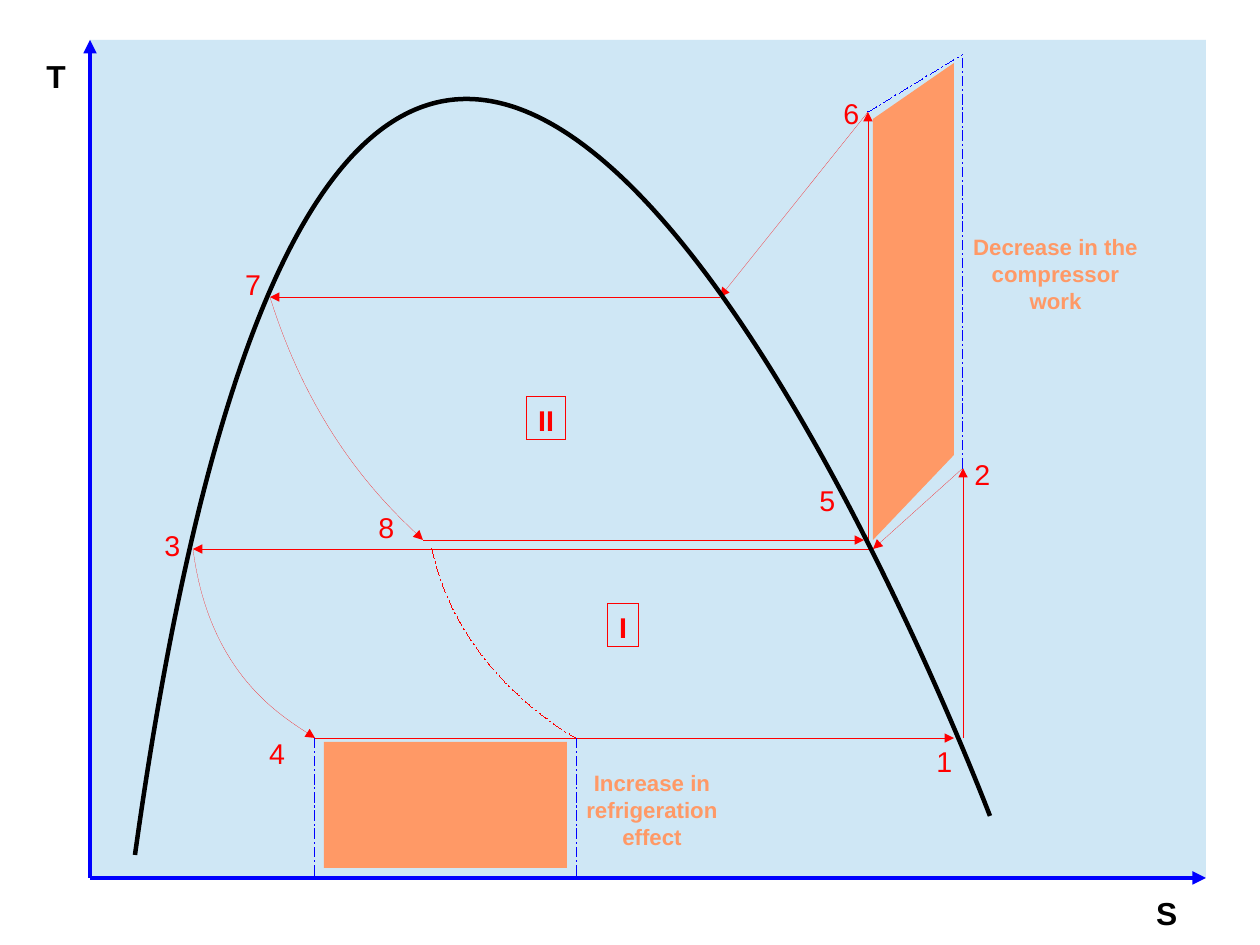
from pptx import Presentation
from pptx.dml.color import RGBColor
from pptx.enum.dml import MSO_LINE
from pptx.enum.shapes import MSO_CONNECTOR, MSO_SHAPE
from pptx.enum.text import MSO_AUTO_SIZE, MSO_ANCHOR, PP_ALIGN
from pptx.oxml.ns import qn
from pptx.util import Emu, Pt
from lxml.etree import SubElement

PX = 8000  # EMU in one px
RED, BLUE, BLACK, ORANGE, SKY = "FF0000", "0000FF", "000000", "FF9966", "CFE7F5"
HAIRLINE, THICK = Emu(1), Pt(2.83)


def style_line(item, color, width=HAIRLINE, arrow=False, dashed=False):
    item.line.color.rgb = RGBColor.from_string(color)
    item.line.width = width
    if dashed:
        item.line.dash_style = MSO_LINE.LONG_DASH_DOT
    if arrow:
        SubElement(item.line._get_or_add_ln(), qn("a:tailEnd"), type="triangle")


def write(box, text, size, color, bold, align=PP_ALIGN.LEFT, wrap=False):
    frame = box.text_frame
    frame.word_wrap = wrap
    frame.auto_size = MSO_AUTO_SIZE.SHAPE_TO_FIT_TEXT
    frame.vertical_anchor = MSO_ANCHOR.TOP
    paragraph = frame.paragraphs[0]
    paragraph.alignment = align
    run = paragraph.add_run()
    run.text = text
    for key, value in {"name": "Arial", "size": Pt(size), "bold": bold}.items():
        setattr(run.font, key, value)
    run.font.color.rgb = RGBColor.from_string(color)


prs = Presentation()
prs.slide_width, prs.slide_height = 1260 * PX, 945 * PX
shapes = prs.slides.add_slide(prs.slide_layouts[6]).shapes

# Plot area, gain in refrigeration effect and saved compressor work
for corners, color in [
    ([(90, 40), (1206, 877)], SKY),
    ([(324, 742), (567, 868)], ORANGE),
    ([(954, 63), (954, 455), (873, 540), (873, 119)], ORANGE),
]:
    if len(corners) == 2:
        (left, top), (right, bottom) = corners
        area = shapes.add_shape(MSO_SHAPE.RECTANGLE, left * PX, top * PX,
                                (right - left) * PX, (bottom - top) * PX)
    else:
        builder = shapes.build_freeform(*corners[0], scale=PX)
        builder.add_line_segments(corners[1:], close=True)
        area = builder.convert_to_shape()
    area.shadow.inherit = False
    area.fill.solid()
    area.fill.fore_color.rgb = RGBColor.from_string(color)
    area.line.fill.background()

# Axes, cycle steps and dashed limits
axis = dict(color=BLUE, width=THICK, arrow=True)
step = dict(color=RED, arrow=True)
limit = dict(color=BLUE, dashed=True)
for x1, y1, x2, y2, look in [
    (90, 878, 90, 40, axis),
    (90, 878, 1206, 878, axis),
    (315, 738, 954, 738, step),
    (873, 549, 193, 549, step),
    (963, 738, 963, 468, step),
    (963, 468, 873, 549, step),
    (423, 540, 864, 540, step),
    (868, 540, 868, 112, step),
    (868, 112, 720, 297, step),
    (720, 297, 270, 297, step),
    (576, 738, 576, 878, limit),
    (315, 738, 315, 878, limit),
    (963, 468, 963, 54, limit),
    (868, 112, 963, 54, limit),
]:
    line = shapes.add_connector(MSO_CONNECTOR.STRAIGHT, x1 * PX, y1 * PX, x2 * PX, y2 * PX)
    style_line(line, **look)
    SubElement(line._element.spPr, qn("a:effectLst"))

# Saturation dome and expansion curves: cubic Béziers whose second handle is the end point.
# The extreme point only sets the extent of the shape.
for start, handle, extreme, end, look in [
    ((135, 855), (369, -823), (466, 99), (990, 816), dict(color=BLACK, width=THICK)),
    ((193, 549), (209, 676), (315, 738), (315, 738), step),
    ((270, 297), (315, 442), (423, 540), (423, 540), step),
    ((432, 549), (459, 676), (576, 738), (576, 738), dict(color=RED, dashed=True)),
]:
    builder = shapes.build_freeform(*start, scale=PX)
    builder.add_line_segments([extreme, end], close=False)
    curve = builder.convert_to_shape()
    outline = curve._element.spPr.find(".//" + qn("a:path"))
    for segment in outline.findall(qn("a:lnTo")):
        outline.remove(segment)
    bezier = SubElement(outline, qn("a:cubicBezTo"))
    for x, y in (handle, end, end):
        SubElement(bezier, qn("a:pt"), x=str(x - start[0]), y=str(y - min(start[1], extreme[1])))
    curve.shadow.inherit = False
    curve.fill.background()
    style_line(curve, **look)

# Axis names and state numbers
for text, x, y, w, h, size, color, bold in [
    ("T", 35, 51, 42, 47, 20, BLACK, True),
    ("S", 1145, 888, 43, 47, 20, BLACK, True),
] + [
    (number, x, y, 39, 43, 18, RED, False)
    for number, x, y in [
        ("1", 925, 738), ("2", 963, 451), ("3", 153, 522), ("4", 258, 730),
        ("5", 808, 477), ("6", 832, 90), ("7", 234, 261), ("8", 367, 504),
    ]
]:
    label = shapes.add_textbox(x * PX, y * PX, w * PX, h * PX)
    write(label, text, size, color, bold)

# Cycle names
for text, x, y, w in [("I", 608, 604, 31), ("II", 527, 397, 39)]:
    cycle = shapes.add_shape(MSO_SHAPE.RECTANGLE, x * PX, y * PX, w * PX, 43 * PX)
    cycle.shadow.inherit = False
    cycle.fill.background()
    style_line(cycle, RED)
    write(cycle, text, 18, RED, True)

# Notes on the gains
for text, x, y, w in [
    ("Decrease in the compressor work", 959, 228, 193),
    ("Increase in refrigeration effect", 571, 764, 162),
]:
    gain = shapes.add_textbox(x * PX, y * PX, w * PX, 86 * PX)
    write(gain, text, 14, ORANGE, True, PP_ALIGN.CENTER, wrap=True)

prs.save("out.pptx")
